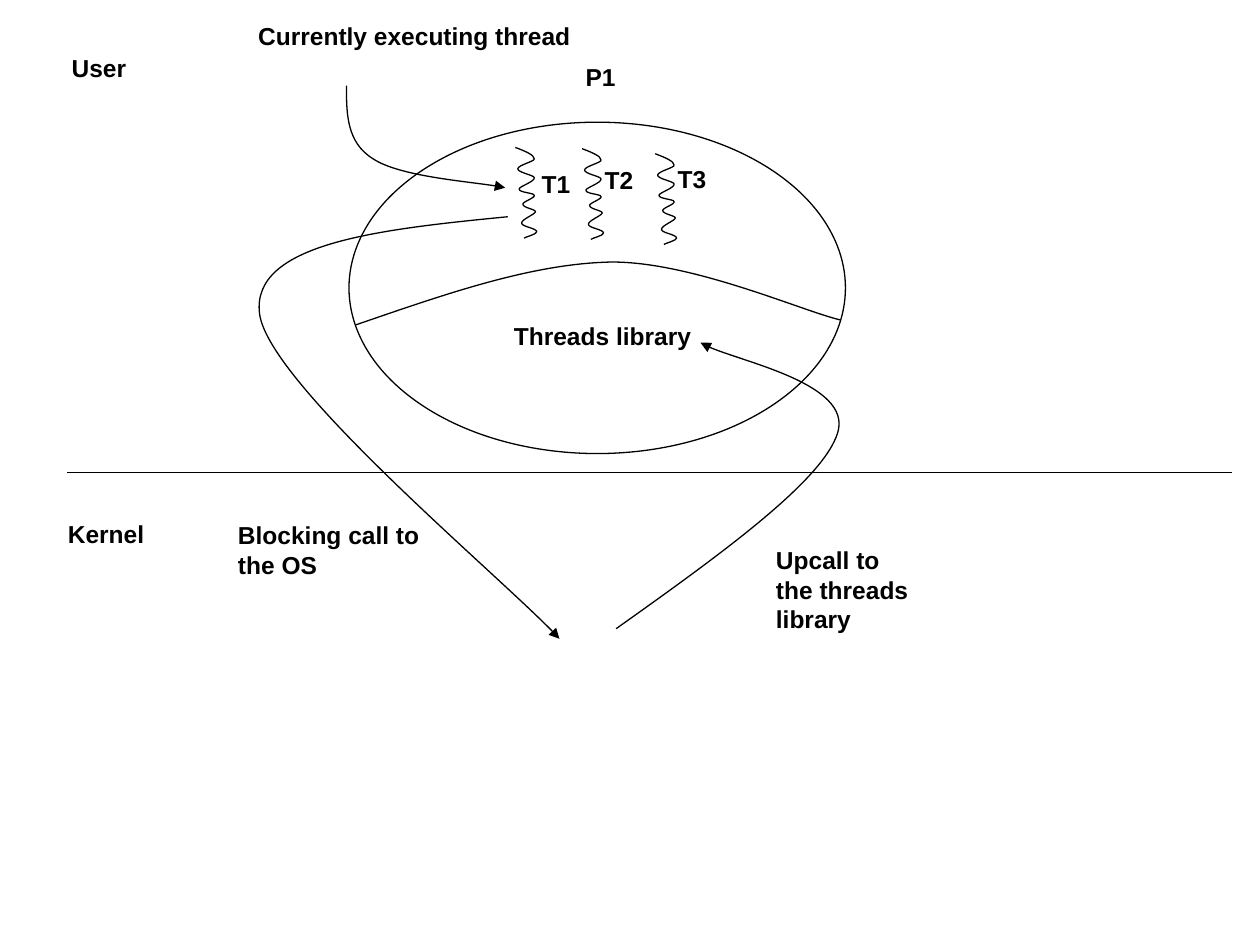
import pptx
import pptx.dml.color
import pptx.enum.shapes
import pptx.enum.text
import pptx.oxml
import pptx.oxml.ns
import pptx.util
from lxml import etree

PX = 9144
COLORS = {"ink": "000000", "paper": "FFFFFF"}
qn = pptx.oxml.ns.qn


class Diagram:
    font = "Arial"
    size = 14
    line_width = 0.75

    def __init__(self, slide):
        self.slide = slide
        fill = slide.background.fill
        fill.solid()
        fill.fore_color.rgb = self.color("paper")

    def color(self, name):
        return pptx.dml.color.RGBColor.from_string(COLORS[name])

    def stroke(self, line):
        line.color.rgb = self.color("ink")
        line.width = pptx.util.Pt(self.line_width)

    def outline(self, shape):
        shape.fill.background()
        self.stroke(shape.line)
        shape.shadow.inherit = False

    def label(self, left, top, width, height, *lines):
        box = self.slide.shapes.add_textbox(left * PX, top * PX, width * PX, height * PX)
        frame = box.text_frame
        frame.word_wrap = False
        frame.auto_size = pptx.enum.text.MSO_AUTO_SIZE.SHAPE_TO_FIT_TEXT
        for index, line in enumerate(lines):
            para = frame.add_paragraph() if index else frame.paragraphs[0]
            span = para.add_run()
            span.text = line
            span.font.name = self.font
            span.font.size = pptx.util.Pt(self.size)
            span.font.bold = True
            span.font.color.rgb = self.color("ink")

    def ellipse(self, left, top, width, height):
        kind = pptx.enum.shapes.MSO_SHAPE.OVAL
        shape = self.slide.shapes.add_shape(kind, left * PX, top * PX, width * PX, height * PX)
        self.outline(shape)

    def line(self, x1, y1, x2, y2):
        kind = pptx.enum.shapes.MSO_CONNECTOR.STRAIGHT
        connector = self.slide.shapes.add_connector(kind, x1 * PX, y1 * PX, x2 * PX, y2 * PX)
        self.stroke(connector.line)
        etree.SubElement(connector.element.spPr, qn("a:effectLst"))

    def curve(self, points, arrow=False):
        builder = self.slide.shapes.build_freeform(*points[0], scale=PX)
        builder.add_line_segments(points[1:], close=False)
        shape = builder.convert_to_shape()
        self.outline(shape)
        outline = shape.element.spPr
        segments = list(outline.iter(qn("a:lnTo")))
        for start in range(0, len(segments), 3):
            bezier = etree.Element(qn("a:cubicBezTo"))
            segments[start].addprevious(bezier)
            for segment in segments[start:start + 3]:
                bezier.append(segment[0])
                segment.getparent().remove(segment)
        if arrow:
            etree.SubElement(outline.find(qn("a:ln")), qn("a:tailEnd"), type="triangle")


SQUIGGLE = [
    (409, 117), (417, 120), (424, 123), (424, 126), (425, 128), (411, 131), (411, 134),
    (411, 137), (424, 139), (424, 141), (425, 144), (412, 148), (412, 150),
    (412, 153), (424, 153), (424, 155), (425, 157), (415, 160), (415, 162),
    (415, 165), (425, 166), (425, 168), (425, 170), (414, 174), (414, 177),
    (414, 180), (426, 181), (426, 184), (426, 186), (417, 188), (416, 189),
]
THREAD_OFFSETS = [(0, 0), (53, 1), (111, 5)]
LABELS = [
    (44, 407, 83, 34, "Kernel"),
    (47, 37, 70, 34, "User"),
    (455, 44, 54, 34, "P1"),
    (398, 250, 166, 34, "Threads library"),
    (420, 129, 48, 33, "T1"),
    (470, 126, 48, 33, "T2"),
    (528, 125, 48, 33, "T3"),
    (195, 12, 279, 34, "Currently executing thread"),
    (179, 408, 175, 57, "Blocking call to", "the OS"),
    (606, 428, 141, 80, "Upcall to", "the threads", "library"),
]
LIBRARY_EDGE = [(282, 258), (352, 234), (422, 209), (486, 208), (550, 208), (637, 247), (667, 254)]
ARROWS = [
    [(275, 68), (275, 90), (275, 113), (296, 126), (317, 140), (384, 145), (401, 149)],
    [(403, 172), (301, 182), (199, 193), (206, 249), (213, 304), (405, 464), (444, 507)],
    [(489, 499), (572, 440), (654, 381), (665, 343), (676, 305), (574, 284), (556, 272)],
]


def main():
    deck = pptx.Presentation()
    deck.slide_width = 1000 * PX
    deck.slide_height = 750 * PX
    page = Diagram(deck.slides.add_slide(deck.slide_layouts[6]))
    page.line(53, 375, 978, 375)
    page.ellipse(277, 97, 394, 263)
    for dx, dy in THREAD_OFFSETS:
        page.curve([(x + dx, y + dy) for x, y in SQUIGGLE])
    page.curve(LIBRARY_EDGE)
    for points in ARROWS:
        page.curve(points, arrow=True)
    for label in LABELS:
        page.label(*label)
    deck.save("out.pptx")


if __name__ == "__main__":
    main()
